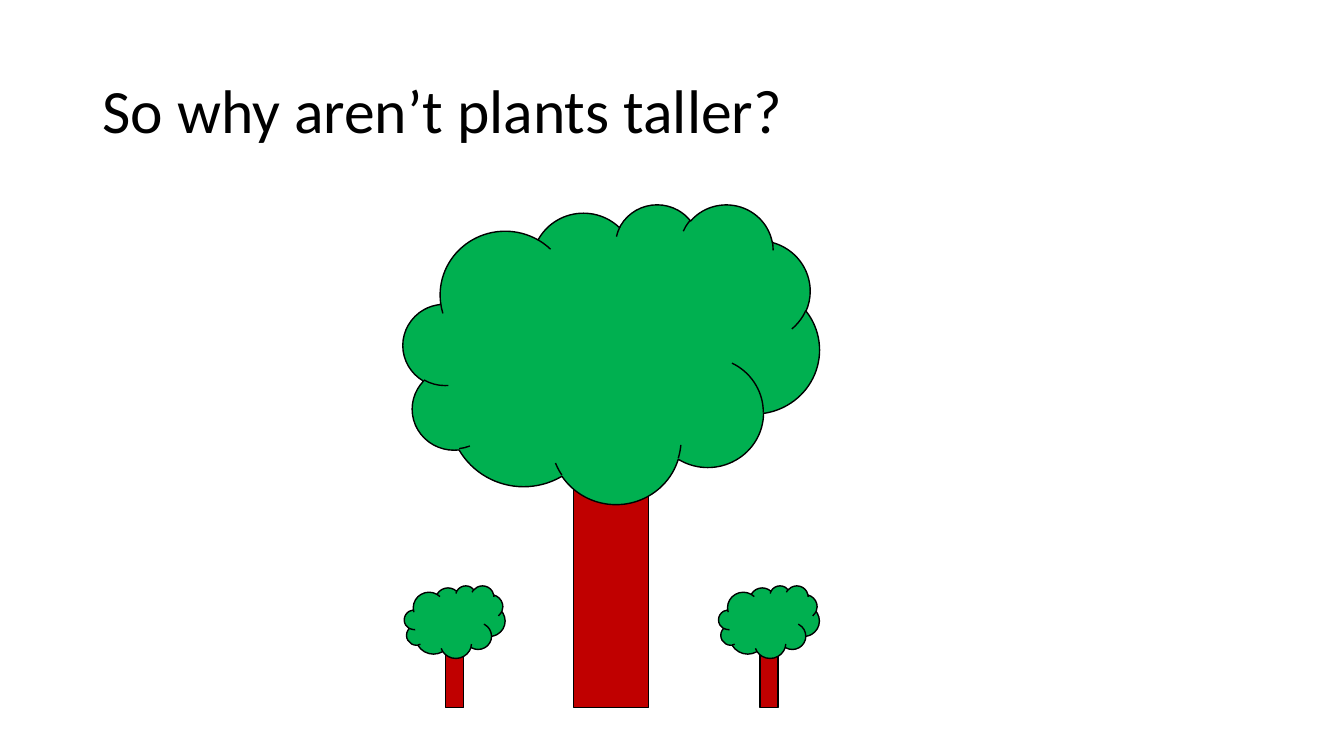
from dataclasses import dataclass

from pptx import Presentation
from pptx.dml.color import RGBColor
from pptx.enum.shapes import MSO_SHAPE
from pptx.enum.text import MSO_ANCHOR, PP_ALIGN
from pptx.util import Cm, Pt

RECTANGLE = MSO_SHAPE.RECTANGLE
CLOUD = MSO_SHAPE.CLOUD
LEFT = PP_ALIGN.LEFT
MIDDLE = MSO_ANCHOR.MIDDLE
TITLE_ONLY = 5


@dataclass(frozen=True)
class Theme:
    ink: RGBColor = RGBColor(0x00, 0x00, 0x00)
    bark: RGBColor = RGBColor(0xC0, 0x00, 0x00)
    leaf: RGBColor = RGBColor(0x00, 0xB0, 0x50)
    font: str = "Calibri"
    title_size: Pt = Pt(44)
    outline: Pt = Pt(1)


theme = Theme()
deck = Presentation()
deck.slide_width, deck.slide_height = Cm(33.87), Cm(19.05)
slide = deck.slides.add_slide(deck.slide_layouts[TITLE_ONLY])


def add_part(kind, left, top, width, height, color):
    """Add one outlined part of a tree; lengths are in centimetres."""
    part = slide.shapes.add_shape(kind, Cm(left), Cm(top), Cm(width), Cm(height))
    part.shadow.inherit = False
    part.fill.solid()
    part.fill.fore_color.rgb = color
    part.line.color.rgb = theme.ink
    part.line.width = theme.outline


question = slide.shapes.title
question.left, question.top = Cm(2.33), Cm(1.01)
question.width, question.height = Cm(29.21), Cm(3.68)
question.text_frame.vertical_anchor = MIDDLE
question.text_frame.text = "So why aren’t plants taller?"
heading = question.text_frame.paragraphs[0]
heading.alignment = LEFT
heading.line_spacing = 0.9
heading.font.name = theme.font
heading.font.size = theme.title_size
heading.font.color.rgb = theme.ink

# All trees share one ground line and the same proportions to the crown width.
ground = 17.83
for left, spread in [(10.16, 10.49), (10.19, 2.54), (18.11, 2.54)]:
    trunk_height = 0.58 * spread
    add_part(RECTANGLE, left + 0.41 * spread, ground - trunk_height,
             0.18 * spread, trunk_height, theme.bark)
    add_part(CLOUD, left, ground - 1.21 * spread,
             spread, 0.72 * spread, theme.leaf)

deck.save("out.pptx")
